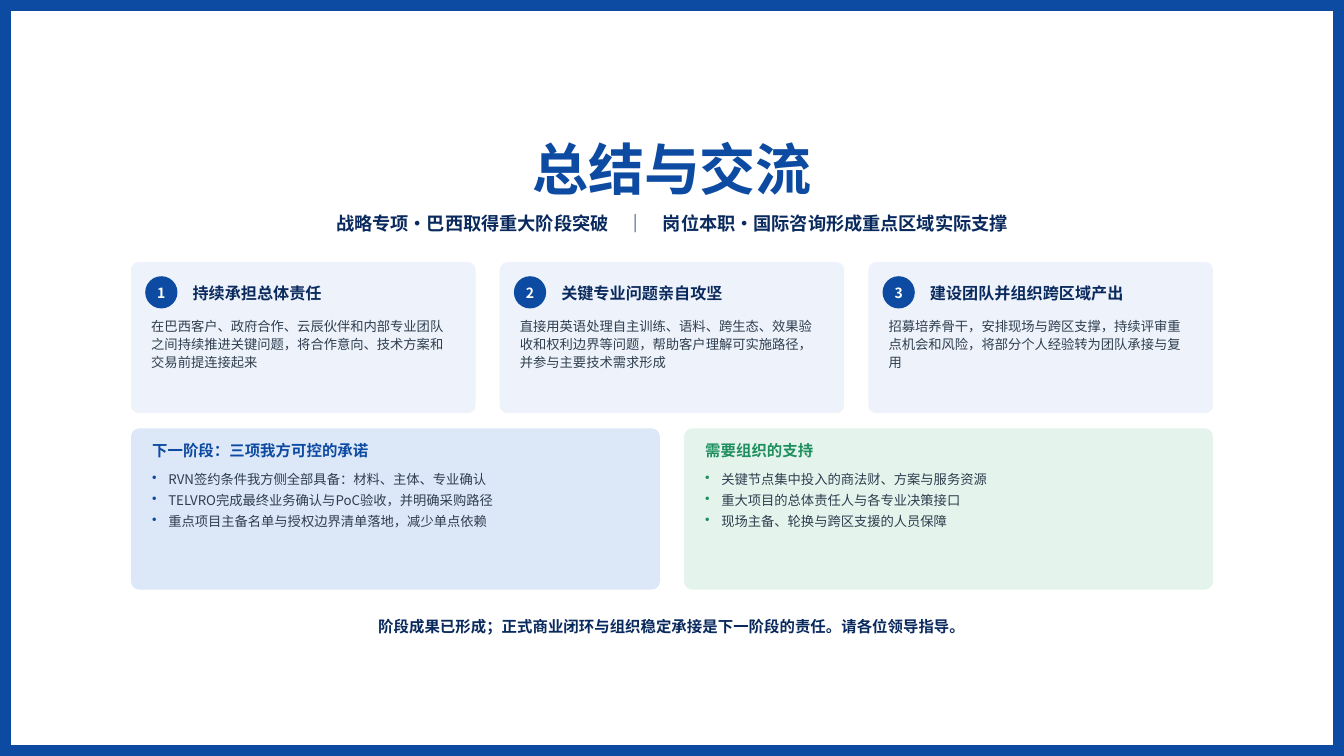
from dataclasses import dataclass

from lxml import etree
from pptx import Presentation
from pptx.dml.color import RGBColor
from pptx.enum.shapes import MSO_SHAPE
from pptx.enum.text import MSO_ANCHOR, MSO_AUTO_SIZE, PP_ALIGN
from pptx.oxml.ns import qn
from pptx.util import Inches, Pt

RECTANGLE, ROUNDED, OVAL = MSO_SHAPE.RECTANGLE, MSO_SHAPE.ROUNDED_RECTANGLE, MSO_SHAPE.OVAL
TOP, MIDDLE = MSO_ANCHOR.TOP, MSO_ANCHOR.MIDDLE
LEFT, CENTER = PP_ALIGN.LEFT, PP_ALIGN.CENTER
FIT_SHAPE = MSO_AUTO_SIZE.SHAPE_TO_FIT_TEXT
TITLE_ONLY = 5


@dataclass(frozen=True)
class Theme:
    font: str = "Noto Sans CJK SC"
    blue: str = "0C4BA1"
    navy: str = "0A2A5E"
    green: str = "1F8F5F"
    ink: str = "2F3E4F"
    white: str = "FFFFFF"
    card: str = "EEF3FB"
    pale_blue: str = "DCE7F8"
    pale_green: str = "E4F4EC"
    title_size: float = 40
    subtitle_size: float = 13
    card_heading_size: float = 11.5
    heading_size: float = 11
    badge_size: float = 10
    body_size: float = 9.5
    line_spacing: float = 1.12


class SlideBuilder:
    def __init__(self, presentation, theme):
        self.theme = theme
        self.slide = presentation.slides.add_slide(presentation.slide_layouts[TITLE_ONLY])

    def place(self, shape, left, top, width, height):
        shape.left, shape.top = Inches(left), Inches(top)
        shape.width, shape.height = Inches(width), Inches(height)

    def add_text(self, paragraph, text, size, color, bold=False, align=LEFT, spacing=None):
        paragraph.alignment = align
        paragraph.line_spacing = spacing or self.theme.line_spacing
        run = paragraph.add_run()
        run.text = text
        font = run.font
        font.name, font.size, font.bold = self.theme.font, Pt(size), bold
        font.color.rgb = RGBColor.from_string(color)
        east_asian = etree.SubElement(run._r.get_or_add_rPr(), qn("a:ea"))
        east_asian.set("typeface", self.theme.font)

    def frame(self, shape, anchor, horizontal=0.06, vertical=0.04):
        frame = shape.text_frame
        frame.word_wrap = True
        frame.vertical_anchor = anchor
        frame.margin_left = frame.margin_right = Inches(horizontal)
        frame.margin_top = frame.margin_bottom = Inches(vertical)
        return frame

    def title(self, text, *box):
        shape = self.slide.shapes.title
        self.place(shape, *box)
        frame = self.frame(shape, TOP, 0.1, 0.05)
        frame.auto_size = FIT_SHAPE
        self.add_text(frame.paragraphs[0], text, self.theme.title_size, self.theme.blue,
                      True, CENTER, 1.5)

    def shape(self, kind, fill, left, top, width, height):
        shape = self.slide.shapes.add_shape(
            kind, Inches(left), Inches(top), Inches(width), Inches(height))
        shape.shadow.inherit = False
        shape.fill.solid()
        shape.fill.fore_color.rgb = RGBColor.from_string(fill)
        shape.line.fill.background()
        if kind == ROUNDED:
            shape.adjustments[0] = 0.05
        return shape

    def border(self, width, height):
        shape = self.shape(RECTANGLE, self.theme.white, 0, 0, width, height)
        shape.line.color.rgb = RGBColor.from_string(self.theme.blue)
        shape.line.width = Pt(16)
        # The border lies behind the title
        self.slide.shapes.title.element.addprevious(shape.element)

    def box(self, left, top, width, height, anchor):
        shape = self.slide.shapes.add_textbox(
            Inches(left), Inches(top), Inches(width), Inches(height))
        return self.frame(shape, anchor)

    def text(self, text, box, size, color, bold=True, align=LEFT, anchor=MIDDLE):
        frame = self.box(*box, anchor)
        self.add_text(frame.paragraphs[0], text, size, color, bold, align)

    def badge(self, number, left, top, size):
        shape = self.shape(OVAL, self.theme.blue, left, top, size, size)
        frame = self.frame(shape, MIDDLE, 0, 0)
        self.add_text(frame.paragraphs[0], str(number), self.theme.badge_size,
                      self.theme.white, True, CENTER)

    def bullets(self, items, box, color):
        frame = self.box(*box, TOP)
        for index, item in enumerate(items):
            paragraph = frame.add_paragraph() if index else frame.paragraphs[0]
            paragraph.space_after = Pt(2)
            self.add_text(paragraph, item, self.theme.body_size, self.theme.ink)
            properties = paragraph._p.get_or_add_pPr()
            properties.set("marL", str(Inches(0.16)))
            properties.set("indent", str(Inches(-0.16)))
            bullet_color = etree.SubElement(properties, qn("a:buClr"))
            etree.SubElement(bullet_color, qn("a:srgbClr")).set("val", color)
            etree.SubElement(properties, qn("a:buChar")).set("char", "•")

    def card(self, number, heading, body, left, top, width, height):
        theme = self.theme
        self.shape(ROUNDED, theme.card, left, top, width, height)
        self.badge(number, left + 0.14, top + 0.14, 0.32)
        self.text(heading, (left + 0.55, top + 0.1, width - 0.65, 0.4),
                  theme.card_heading_size, theme.navy)
        self.text(body, (left + 0.14, top + 0.5, width - 0.28, 0.95),
                  theme.body_size, theme.ink, bold=False, anchor=TOP)

    def panel(self, heading, items, color, fill, left, top, width, height):
        self.shape(ROUNDED, fill, left, top, width, height)
        inner_left, inner_width = left + 0.15, width - 0.3
        self.text(heading, (inner_left, top + 0.05, inner_width, 0.32),
                  self.theme.heading_size, color)
        self.bullets(items, (inner_left, top + 0.37, inner_width, 1.2), color)


def main():
    theme = Theme()
    slide_width, slide_height = 13.33, 7.5
    left, content_width, gap = 1.3, 10.73, 0.24
    presentation = Presentation()
    presentation.slide_width = Inches(slide_width)
    presentation.slide_height = Inches(slide_height)
    builder = SlideBuilder(presentation, theme)

    # Border, title and subtitle
    builder.border(slide_width, slide_height)
    builder.title("总结与交流", 2.87, 0.95, 7.59, 0.95)
    builder.text("战略专项·巴西取得重大阶段突破　｜　岗位本职·国际咨询形成重点区域实际支撑",
                 (left, 1.95, content_width, 0.5), theme.subtitle_size, theme.navy, align=CENTER)

    # Three numbered cards
    cards = [
        ("持续承担总体责任",
         "在巴西客户、政府合作、云辰伙伴和内部专业团队之间持续推进关键问题，将合作意向、技术方案和交易前提连接起来"),
        ("关键专业问题亲自攻坚",
         "直接用英语处理自主训练、语料、跨生态、效果验收和权利边界等问题，帮助客户理解可实施路径，并参与主要技术需求形成"),
        ("建设团队并组织跨区域产出",
         "招募培养骨干，安排现场与跨区支撑，持续评审重点机会和风险，将部分个人经验转为团队承接与复用"),
    ]
    card_width = (content_width - gap * (len(cards) - 1)) / len(cards)
    for index, (heading, body) in enumerate(cards):
        builder.card(index + 1, heading, body,
                     left + index * (card_width + gap), 2.6, card_width, 1.5)

    # Commitments and support
    panels = [
        ("下一阶段：三项我方可控的承诺",
         ["RVN签约条件我方侧全部具备：材料、主体、专业确认",
          "TELVRO完成最终业务确认与PoC验收，并明确采购路径",
          "重点项目主备名单与授权边界清单落地，减少单点依赖"],
         theme.blue, theme.pale_blue),
        ("需要组织的支持",
         ["关键节点集中投入的商法财、方案与服务资源",
          "重大项目的总体责任人与各专业决策接口",
          "现场主备、轮换与跨区支援的人员保障"],
         theme.green, theme.pale_green),
    ]
    panel_width = (content_width - gap) / len(panels)
    for index, panel in enumerate(panels):
        builder.panel(*panel, left + index * (panel_width + gap), 4.25, panel_width, 1.6)

    # Closing line
    builder.text("阶段成果已形成；正式商业闭环与组织稳定承接是下一阶段的责任。请各位领导指导。",
                 (left, 6, content_width, 0.4), theme.heading_size, theme.navy, align=CENTER)

    presentation.save("out.pptx")


if __name__ == "__main__":
    main()
